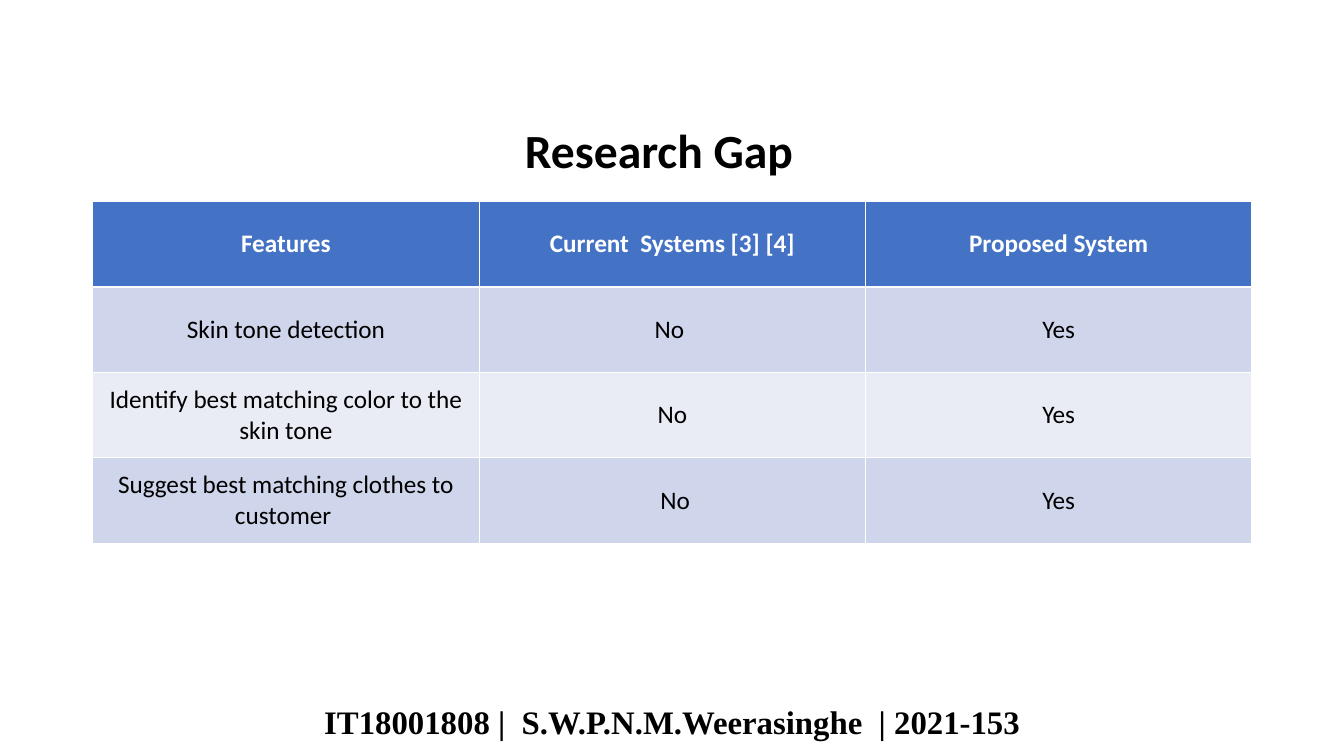
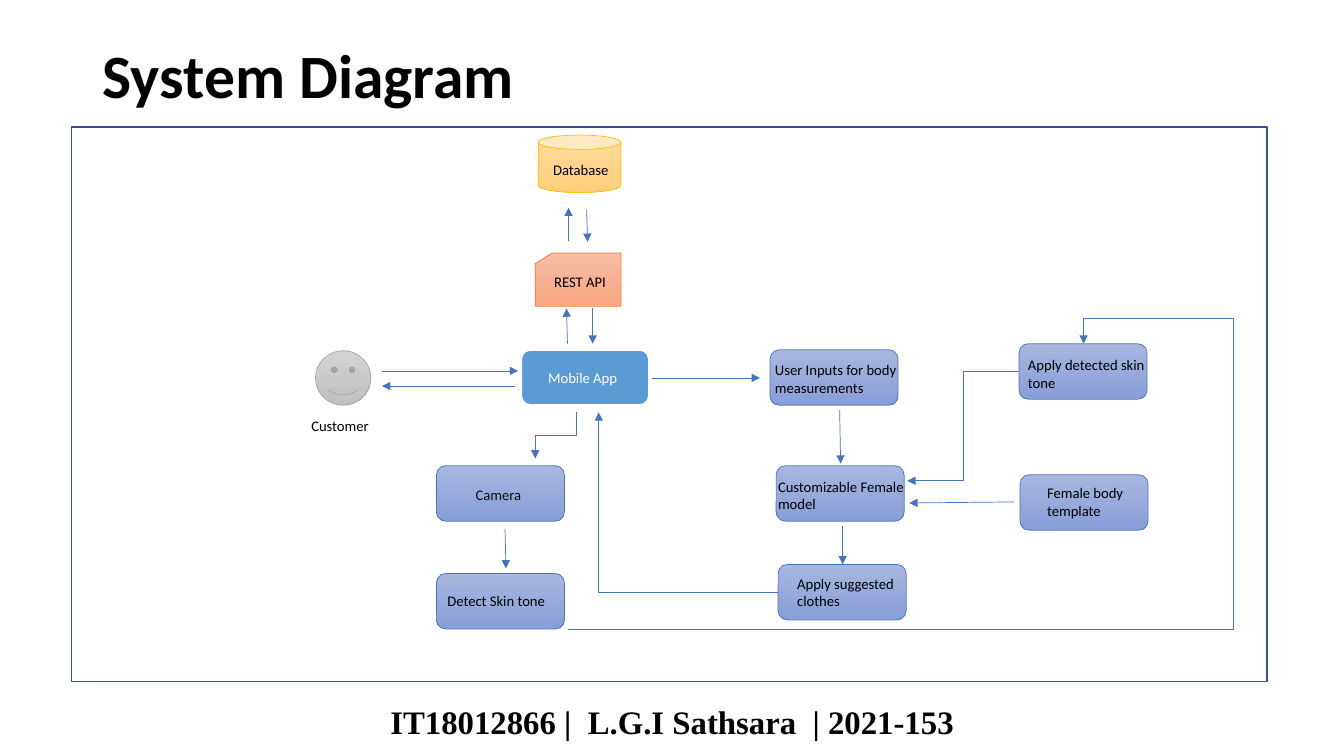
from dataclasses import dataclass

from lxml import etree
from pptx import Presentation
from pptx import util as u
from pptx.dml.color import RGBColor
from pptx.enum import shapes, text
from pptx.oxml.ns import qn

COLUMNS, ROWS = 40, 22.5
CELL = u.Inches(13.333) / COLUMNS
SHAPE = shapes.MSO_SHAPE


@dataclass(frozen=True)
class Theme:
    body_font: str = "Calibri"
    footer_font: str = "Times New Roman"
    ink: str = "000000"
    soft_ink: str = "0D0D0D"
    paper: str = "FFFFFF"
    accent: str = "4472C4"
    frame: str = "325491"
    bands: tuple = ("CFD5EA", "E9EBF5")
    # Each look: fill colours from top to bottom, line colour, line width
    step: tuple = (("A8B7DF", "889ED7"), "4472C4", 0.5)
    store: tuple = (("FFDB9E", "FFD07C"), "FFC000", 0.5)
    service: tuple = (("F7BDA5", "F8A582"), "ED7D31", 0.5)
    person: tuple = (("D2D2D2", "C0C0C0"), "A5A5A5", 0.5)
    app: tuple = (("5B9BD5",), "FFFFFF", 1.5)
    small_title: float = 34
    large_title: float = 44
    footer: float = 23.4
    table: float = 18
    label: float = 10.5
    arrow_width: float = 0.5


THEME = Theme()


def grid(*cells):
    """Turn columns or rows of the slide grid into lengths."""
    return [u.Emu(round(cell * CELL)) for cell in cells]


def color(value):
    return RGBColor.from_string(value)


def write(frame, words, size, ink=THEME.ink, font=THEME.body_font, bold=False,
          align=text.PP_ALIGN.LEFT, spacing=1.0):
    para = frame.paragraphs[0]
    para.alignment = align
    para.line_spacing = spacing
    span = para.add_run()
    span.text = words
    span.font.name = font
    span.font.size = u.Pt(size)
    span.font.bold = bold
    span.font.color.rgb = color(ink)


def add_text(page, area, words, size, **style):
    box = page.shapes.add_textbox(*grid(*area))
    box.text_frame.word_wrap = True
    write(box.text_frame, words, size, **style)


def add_title(page, area, words, size, spacing):
    add_text(page, area, words, size, bold=True, spacing=spacing)


def add_footer(page, words):
    add_text(page, (0, 20.86, COLUMNS, 1.35), words, THEME.footer,
             font=THEME.footer_font, bold=True,
             align=text.PP_ALIGN.CENTER, spacing=0.9)


def add_figure(page, preset, area, look):
    fills, edge, width = look
    figure = page.shapes.add_shape(preset, *grid(*area))
    figure.shadow.inherit = False
    if len(fills) == 1:
        figure.fill.solid()
        figure.fill.fore_color.rgb = color(fills[0])
    else:
        figure.fill.gradient()
        figure.fill.gradient_angle = 270
        for stop, value in zip(figure.fill.gradient_stops, fills):
            stop.color.rgb = color(value)
    figure.line.color.rgb = color(edge)
    figure.line.width = u.Pt(width)


def add_node(page, corner, words, shift, label_width, preset=SHAPE.ROUNDED_RECTANGLE,
             size=(3.81, 1.65), look=THEME.step, ink=THEME.ink):
    """Draw a figure and its label, shifted from the figure's corner."""
    add_figure(page, preset, (*corner, *size), look)
    area = (corner[0] + shift[0], corner[1] + shift[1], label_width, 0.84)
    add_text(page, area, words, THEME.label, ink=ink)


def add_arrow(page, start, end, kind=shapes.MSO_CONNECTOR.STRAIGHT):
    arrow = page.shapes.add_connector(kind, *grid(*start, *end))
    arrow.line.color.rgb = color(THEME.accent)
    arrow.line.width = u.Pt(THEME.arrow_width)
    line = arrow.line._get_or_add_ln()
    etree.SubElement(line, qn("a:tailEnd"), type="triangle")
    etree.SubElement(arrow._element.spPr, qn("a:effectLst"))
    return arrow


def add_elbow(page, start, end, preset, turn=0, flip=False, bends=()):
    """Draw a bent arrow; turn is in degrees, bends are shares of its frame."""
    arrow = add_arrow(page, start, end, shapes.MSO_CONNECTOR.ELBOW)
    left, top, width, height = arrow.left, arrow.top, arrow.width, arrow.height
    if turn % 180:
        arrow.left = left + (width - height) // 2
        arrow.top = top + (height - width) // 2
        arrow.width, arrow.height = height, width
    properties = arrow._element.spPr
    frame = properties.find(qn("a:xfrm"))
    frame.attrib.clear()
    frame.set("rot", str(turn * 60000))
    frame.set("flipV", str(int(flip)))
    geometry = properties.find(qn("a:prstGeom"))
    geometry.set("prst", preset)
    guides = geometry.find(qn("a:avLst"))
    if guides is None:
        guides = etree.SubElement(geometry, qn("a:avLst"))
    for number, share in enumerate(bends, 1):
        etree.SubElement(guides, qn("a:gd"), name=f"adj{number}",
                         fmla=f"val {round(share * 100000)}")


def add_grid_table(page, area, rows):
    table = page.shapes.add_table(len(rows), len(rows[0]), *grid(*area)).table
    for row, entries in enumerate(rows):
        header = row == 0
        for column, words in enumerate(entries):
            cell = table.cell(row, column)
            cell.vertical_anchor = text.MSO_ANCHOR.MIDDLE
            cell.fill.solid()
            cell.fill.fore_color.rgb = color(
                THEME.accent if header else THEME.bands[(row - 1) % 2])
            write(cell.text_frame, words, THEME.table, bold=header,
                  ink=THEME.paper if header else THEME.ink,
                  align=text.PP_ALIGN.CENTER)


def build_research_gap(page):
    add_grid_table(page, (2.76, 6, 34.5, 10.17), [
        ("Features", "Current  Systems [3] [4]", "Proposed System"),
        ("Skin tone detection", "No ", "Yes"),
        ("Identify best matching color to the skin tone", "No", "Yes"),
        ("Suggest best matching clothes to customer ", " No", "Yes"),
    ])
    add_title(page, (15.33, 3.78, 8.67, 2.1), "Research Gap", THEME.small_title, 0.8)
    add_footer(page, "IT18001808 |  S.W.P.N.M.Weerasinghe  | 2021-153")


def build_system_diagram(page):
    add_figure(page, SHAPE.RECTANGLE, (2.13, 3.78, 35.58, 16.5),
               ((THEME.paper,), THEME.frame, 1))
    add_title(page, (2.76, 1.2, 34.5, 4.35), "System Diagram", THEME.large_title, 0.9)

    add_node(page, (16.02, 4.02), "Database", (0.15, 0.63), 2.52,
             SHAPE.CAN, (2.46, 1.71), THEME.store)
    add_node(page, (15.93, 7.53), "REST API", (0.27, 0.45), 2.52,
             SHAPE.FLOWCHART_CARD, (2.55, 1.59), THEME.service)
    add_node(page, (15.51, 10.41), "Mobile App", (0.51, 0.42), 3.12,
             look=THEME.app, ink=THEME.paper)
    add_node(page, (9.39, 10.44), "Customer", (-0.42, 1.83), 2.52,
             SHAPE.SMILEY_FACE, (1.65, 1.62), THEME.person)
    add_node(page, (12.99, 13.86), "Camera", (0.87, 0.45), 3.12, ink=THEME.soft_ink)
    add_node(page, (12.99, 17.07), "Detect Skin tone", (0.03, 0.39), 3.63)
    for corner, words, shift in (
        ((22.92, 10.41), "User Inputs for body measurements", (-0.15, 0.18)),
        ((23.1, 13.86), "Customizable Female model", (-0.24, 0.21)),
        ((23.16, 16.8), "Apply suggested clothes", (0.27, 0.15)),
        ((30.36, 14.13), "Female body template", (0.51, 0.12)),
        ((30.33, 10.23), "Apply detected skin tone", (-0.03, 0.21)),
    ):
        add_node(page, corner, words, shift, 4.53)

    for start, end in (
        ((17.46, 6.24), (17.49, 7.2)),      # database to service
        ((16.92, 7.17), (16.92, 6.18)),     # service to database
        ((17.64, 9.18), (17.64, 10.23)),    # service to app
        ((16.89, 10.23), (16.86, 9.18)),    # app to service
        ((11.37, 11.04), (15.42, 11.04)),   # customer to app
        ((15.33, 11.49), (11.37, 11.49)),   # app to customer
        ((19.41, 11.25), (22.62, 11.25)),   # app to user inputs
        ((15.03, 15.75), (15.06, 16.92)),   # camera to skin tone
        ((24.99, 12.21), (25.02, 13.8)),    # user inputs to model
        ((25.08, 15.66), (25.08, 16.8)),    # model to clothes
        ((30.18, 14.94), (27.06, 14.97)),   # template to model
    ):
        add_arrow(page, start, end)
    add_elbow(page, (17.16, 12.27), (15.93, 13.65), "bentConnector3", turn=90)
    add_elbow(page, (23.16, 17.64), (17.82, 12.27), "bentConnector2", turn=180)
    add_elbow(page, (30.33, 11.04), (27, 14.31), "bentConnector3",
              turn=180, flip=True, bends=(0.5,))
    add_elbow(page, (16.92, 18.72), (32.25, 10.23), "bentConnector4",
              flip=True, bends=(1.29, 1.09))
    add_footer(page, "IT18012866 |  L.G.I Sathsara  | 2021-153")


def main():
    deck = Presentation()
    deck.slide_width, deck.slide_height = grid(COLUMNS, ROWS)
    for build in (build_research_gap, build_system_diagram):
        build(deck.slides.add_slide(deck.slide_layouts[6]))
    deck.save("out.pptx")


if __name__ == "__main__":
    main()
